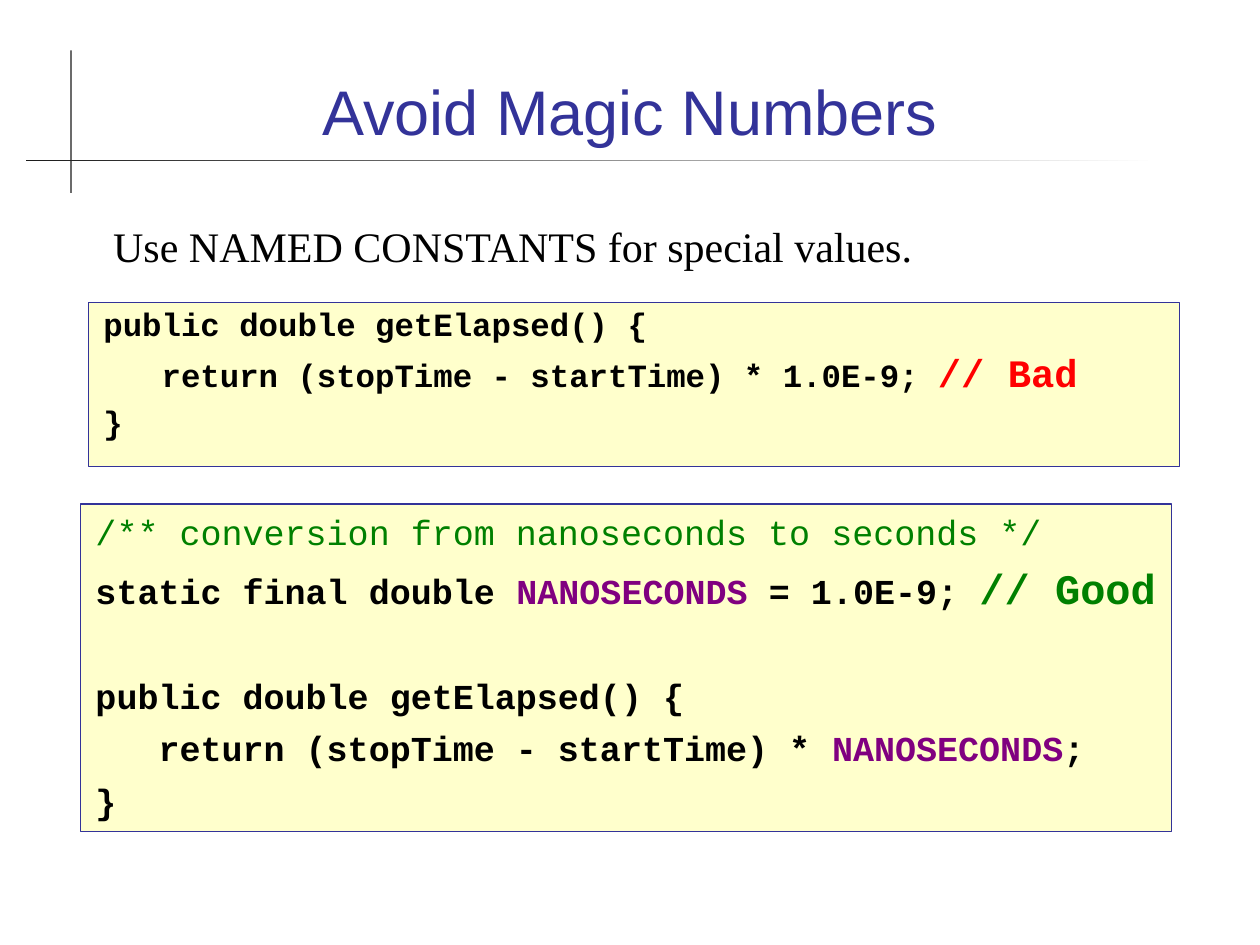
import pptx
import pptx.dml.color
import pptx.enum.shapes
import pptx.enum.text
import pptx.util

Pt = pptx.util.Pt
ALIGN = pptx.enum.text.PP_ALIGN
ANCHOR = pptx.enum.text.MSO_ANCHOR
RECT = pptx.enum.shapes.MSO_SHAPE.RECTANGLE

HUES = {
    "title": "333399", "edge": "333399", "page": "FFFFFF", "rule": "1C1C1C",
    "code": "FFFFCC", "text": "000000", "bad": "FF0000", "good": "008000",
    "const": "800080",
}

# Each code line is a list of (text, changes to the base format)
CONST = ("NANOSECONDS", {"hue": "const"})
BAD = [
    [("public double getElapsed() {", {})],
    [("   return (stopTime - startTime) * 1.0E-9; ", {}),
     ("// Bad", {"hue": "bad", "size": Pt(22.2)})],
    [("}", {})],
]
GOOD = [
    [("/** conversion from nanoseconds to seconds */",
      {"hue": "good", "bold": False})],
    [("static final double ", {}), CONST, (" = 1.0E-9; ", {}),
     ("// Good", {"hue": "good", "size": Pt(24)})],
    [("public double getElapsed() {", {})],
    [("   return (stopTime - startTime) * ", {}), CONST, (";", {})],
    [("}", {})],
]


def tint(name):
    return pptx.dml.color.RGBColor.from_string(HUES[name])


def apply(item, form):
    for key, value in form.items():
        setattr(item, key, value)


def place(shape, left, top, width, height):
    apply(shape, {"left": Pt(left), "top": Pt(top),
                  "width": Pt(width), "height": Pt(height)})


def write(para, text, hue, **form):
    run = para.add_run()
    run.text = text
    apply(run.font, form)
    run.font.color.rgb = tint(hue)


def frame(shape, anchor):
    apply(shape.text_frame, {
        "word_wrap": True, "vertical_anchor": anchor,
        "auto_size": pptx.enum.text.MSO_AUTO_SIZE.NONE,
        "margin_left": Pt(7.2), "margin_right": Pt(7.2),
        "margin_top": Pt(3.6), "margin_bottom": Pt(3.6)})
    return shape.text_frame


def rule(slide, *box):
    bar = slide.shapes.add_shape(RECT, *map(Pt, box))
    bar.shadow.inherit = False
    bar.line.fill.background()
    bar.fill.solid()
    bar.fill.fore_color.rgb = tint("rule")
    return bar


def fade(bar):
    bar.fill.gradient()
    bar.fill.gradient_angle = 180
    for stop, name in zip(bar.fill.gradient_stops, ("page", "rule")):
        stop.color.rgb = tint(name)


def code(shape, lines, size, pitch, gaps):
    """Fill a code panel; gaps holds the space before each line."""
    shape.fill.solid()
    shape.fill.fore_color.rgb = tint("code")
    shape.line.color.rgb = tint("edge")
    shape.line.width = Pt(0.75)
    body = frame(shape, ANCHOR.TOP)
    base = {"hue": "text", "name": "Courier New", "size": Pt(size),
            "bold": True}
    for row, (line, gap) in enumerate(zip(lines, gaps)):
        para = body.add_paragraph() if row else body.paragraphs[0]
        props = para._p.get_or_add_pPr()
        props.set("marL", str(Pt(18)))
        props.set("indent", str(Pt(-16.5)))
        apply(para, {"alignment": ALIGN.LEFT, "line_spacing": pitch,
                     "space_before": Pt(gap), "space_after": Pt(0)})
        # No bullet, placed after the spacing elements
        props.append(props.makeelement(
            "{http://schemas.openxmlformats.org/drawingml/2006/main}buNone"))
        for text, form in line:
            write(para, text, **{**base, **form})


def main():
    deck = pptx.Presentation()
    apply(deck, {"slide_width": Pt(720), "slide_height": Pt(540)})
    slide = deck.slides.add_slide(deck.slide_layouts[1])
    title, bad = slide.placeholders

    # Crossed rules by the title
    rule(slide, 40.3, 28.8, 0.75, 81.4)
    fade(rule(slide, 15.1, 91.4, 646.6, 0.75))

    # Title
    place(title, 48, 20, 624, 68.4)
    para = frame(title, ANCHOR.BOTTOM).paragraphs[0]
    para.alignment = ALIGN.CENTER
    write(para, "Avoid Magic Numbers", "title", name="Arial", size=Pt(36))

    # Advice
    note = slide.shapes.add_textbox(*map(Pt, (57.6, 122.4, 612, 41)))
    write(frame(note, ANCHOR.TOP).paragraphs[0],
          "Use NAMED CONSTANTS for special values.", "text",
          name="Times New Roman", size=Pt(24))

    # Code panels; the wide gap stands for the empty code line
    place(bad, 50.4, 172.8, 623.5, 93.6)
    code(bad, BAD, 18.5, 0.9, (0, 6, 6))
    good = slide.shapes.add_shape(RECT, *map(Pt, (46, 288, 623.5, 187.2)))
    good.shadow.inherit = False
    code(good, GOOD, 20, 1.0, (0, 6, 35, 6, 6))

    deck.save("out.pptx")


if __name__ == "__main__":
    main()
